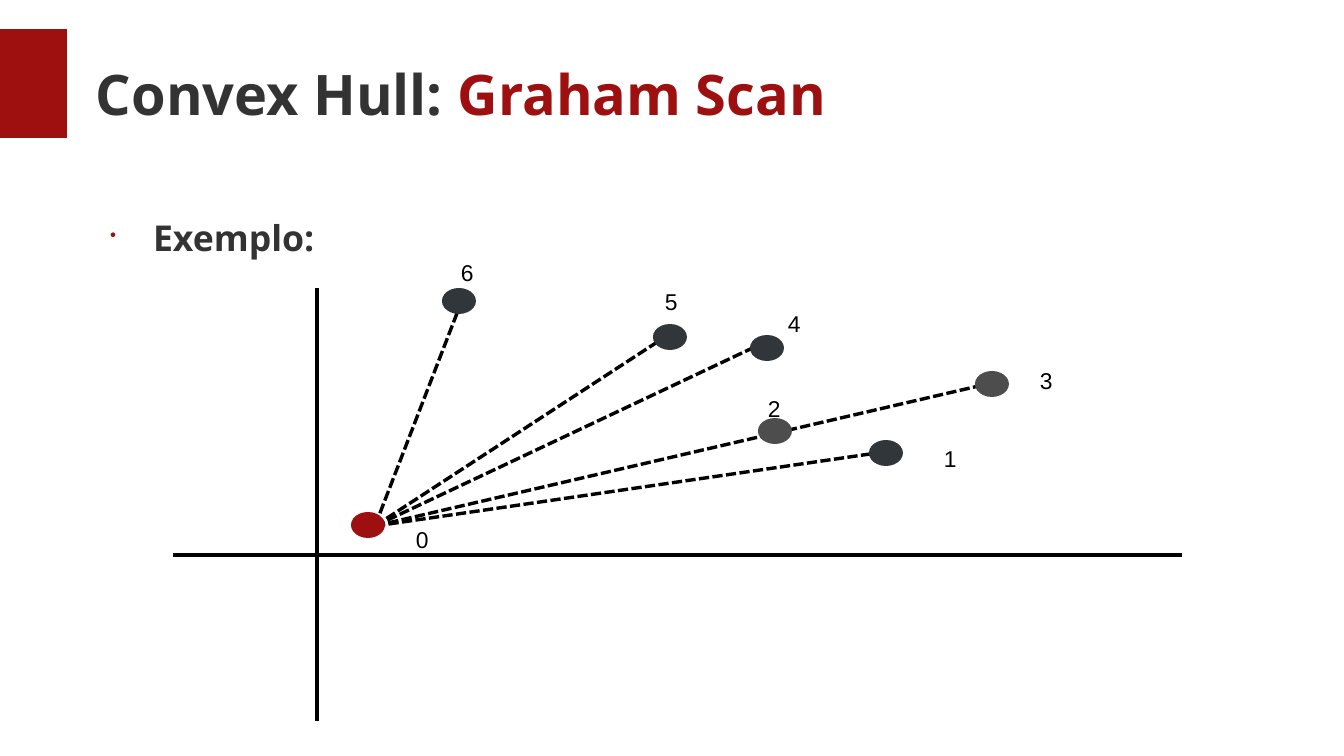
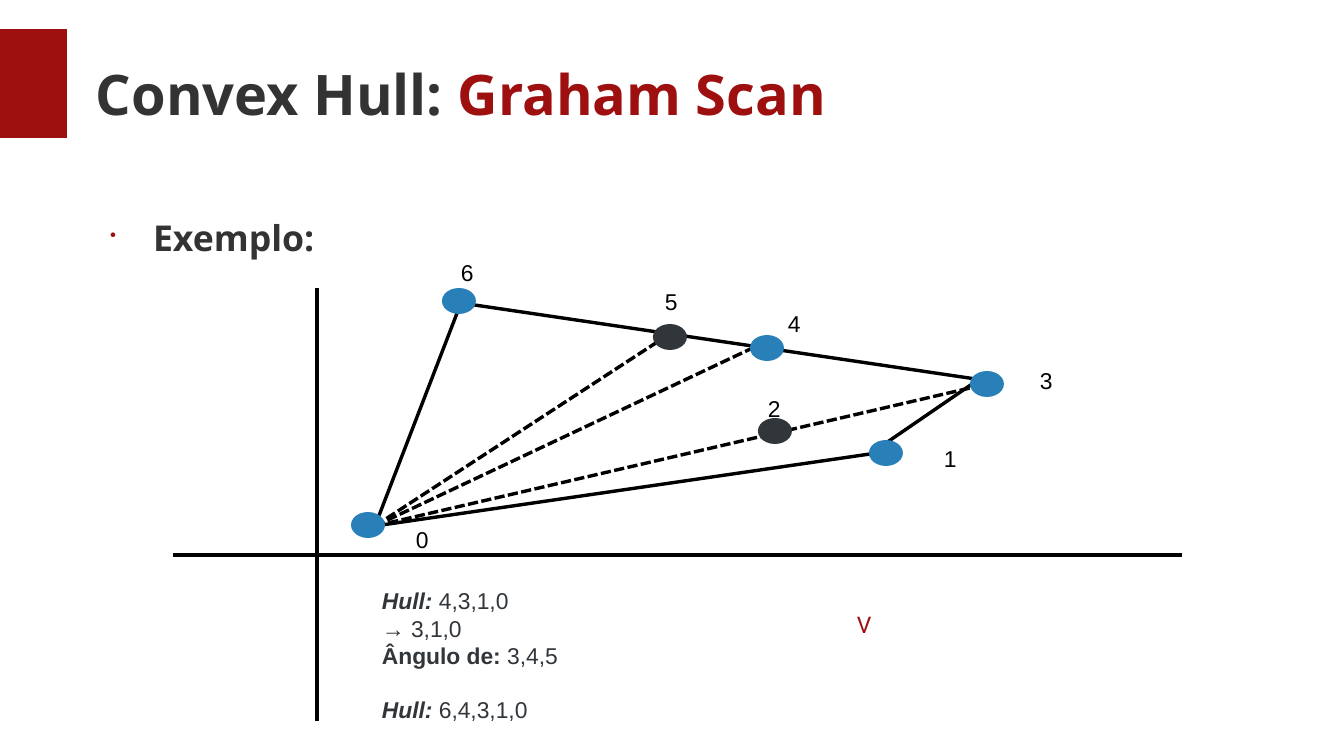
from lxml.etree import SubElement
from pptx import Presentation
from pptx.dml.color import RGBColor as Rgb
from pptx.enum.dml import MSO_LINE_DASH_STYLE as Dash
from pptx.enum.shapes import MSO_CONNECTOR as Conn, MSO_SHAPE as Shape
from pptx.enum.text import MSO_ANCHOR as Anchor
from pptx.oxml.ns import qn
from pptx.util import Pt

PX = 914400 / 122  # EMU in one px
HUES = {
    "red": "9E0F0F", "text": "333333", "black": "000000",
    "dark": "31363B", "gray": "4D4D4D", "blue": "2980B9",
}


def px(*nums):
    return [round(n * PX) for n in nums]


def write(slide, box, rows, size, face, pad=(12, 6)):
    """Add a text box; each row is a list of (text, hue, bold, italic)."""
    frame = slide.shapes.add_textbox(*px(*box)).text_frame
    frame.word_wrap = True
    frame.margin_left = frame.margin_right = px(pad[0])[0]
    frame.margin_top = frame.margin_bottom = px(pad[1])[0]
    for i, row in enumerate(rows):
        para = frame.add_paragraph() if i else frame.paragraphs[0]
        for text, hue, bold, slant in row:
            run = para.add_run()
            run.text = text
            font = run.font
            font.name, font.size = face, Pt(size)
            font.bold, font.italic = bold, slant
            font.color.rgb = Rgb.from_string(HUES[hue])
    return frame


# Shared diagram: point centres, label corners, line ends
dots = [(368, 525), (886, 453), (775, 431), (992, 384),
        (767, 348), (670, 337), (459, 301)]
tags = [(404, 520), (932, 439), (756, 389), (1028, 361),
        (776, 304), (653, 282), (449, 253)]
start = (375, 526)
ends = {6: (461, 303), 1: (870, 454), 3: (996, 382),
        4: (759, 345), 5: (662, 339)}
axes = [((317, 288), (317, 721)), ((173, 555), (1182, 555))]

# What differs: point hues, solid rays, hull edges, place of point 3
views = [
    {"hues": ["red", "dark", "gray", "gray", "dark", "dark", "dark"],
     "solid": (), "edges": [], "shift": 0},
    {"hues": ["blue", "blue", "dark", "blue", "blue", "dark", "blue"],
     "solid": (1, 6), "shift": -5,
     "edges": [((975, 382), ends[1]), (ends[6], ends[3])]},
]

deck = Presentation()
deck.slide_width, deck.slide_height = px(1344, 756)

for view in views:
    slide = deck.slides.add_slide(deck.slide_layouts[6])
    shapes = slide.shapes

    # Red band, title and bullet
    band = shapes.add_shape(Shape.RECTANGLE, *px(0, 29, 67, 109))
    band.shadow.inherit = False
    band.fill.solid()
    band.fill.fore_color.rgb = Rgb.from_string(HUES["red"])
    band.line.fill.background()
    title = [("Convex Hull: ", "text", True, False),
             ("Graham Scan", "red", True, False)]
    frame = write(slide, (96, 30, 1181, 127), [title], 33, "Open Sans", (0, 0))
    frame.vertical_anchor = Anchor.MIDDLE
    body = write(slide, (96, 216, 1153, 439),
                 [[("Exemplo:", "text", True, False)]], 21, "Open Sans", (0, 0))
    props = body.paragraphs[0]._p.get_or_add_pPr()
    left, hang = px(57, -43)
    props.set("marL", str(left))
    props.set("indent", str(hang))
    tint = SubElement(props, qn("a:buClr"))
    SubElement(tint, qn("a:srgbClr"), val=HUES["red"])
    SubElement(props, qn("a:buSzPct"), val="50000")
    SubElement(props, qn("a:buChar"), char="•")

    # Axes, hull edges and rays from point 0
    lines = [(a, b, False) for a, b in axes + view["edges"]]
    lines += [(start, end, n not in view["solid"]) for n, end in ends.items()]
    for a, b, dashed in lines:
        line = shapes.add_connector(Conn.STRAIGHT, *px(*a, *b))
        line.line.width = 0
        line.line.color.rgb = Rgb.from_string(HUES["black"])
        if dashed:
            line.line.dash_style = Dash.SQUARE_DOT
        SubElement(line._element.spPr, qn("a:effectLst"))

    # Points and their numbers
    for n, ((x, y), tag, hue) in enumerate(zip(dots, tags, view["hues"])):
        if n == 3:
            x += view["shift"]
        dot = shapes.add_shape(Shape.OVAL, *px(x - 17, y - 13, 34, 26))
        dot.shadow.inherit = False
        dot.fill.solid()
        dot.fill.fore_color.rgb = Rgb.from_string(HUES[hue])
        dot.line.fill.background()
        write(slide, (*tag, 42, 38), [[(str(n), "black", False, False)]],
              13.5, "Arial")

# Hull steps on the last slide
steps = [
    [("Hull: ", "dark", True, True), ("4,3,1,0", "dark", False, False)],
    [("→ 3,1,0", "dark", False, False)],
    [("Ângulo de: ", "dark", True, False), ("3,4,5", "dark", False, False)],
    [("Hull:", "dark", True, True), (" 6,4,3,1,0", "dark", False, False)],
]
notes = write(slide, (370, 581, 467, 137), steps, 13.5, "Arial")
notes.paragraphs[3].space_before = Pt(15.5)
write(slide, (845, 605, 44, 43), [[("V", "red", False, False)]], 13.5, "Roboto")

deck.save("out.pptx")
